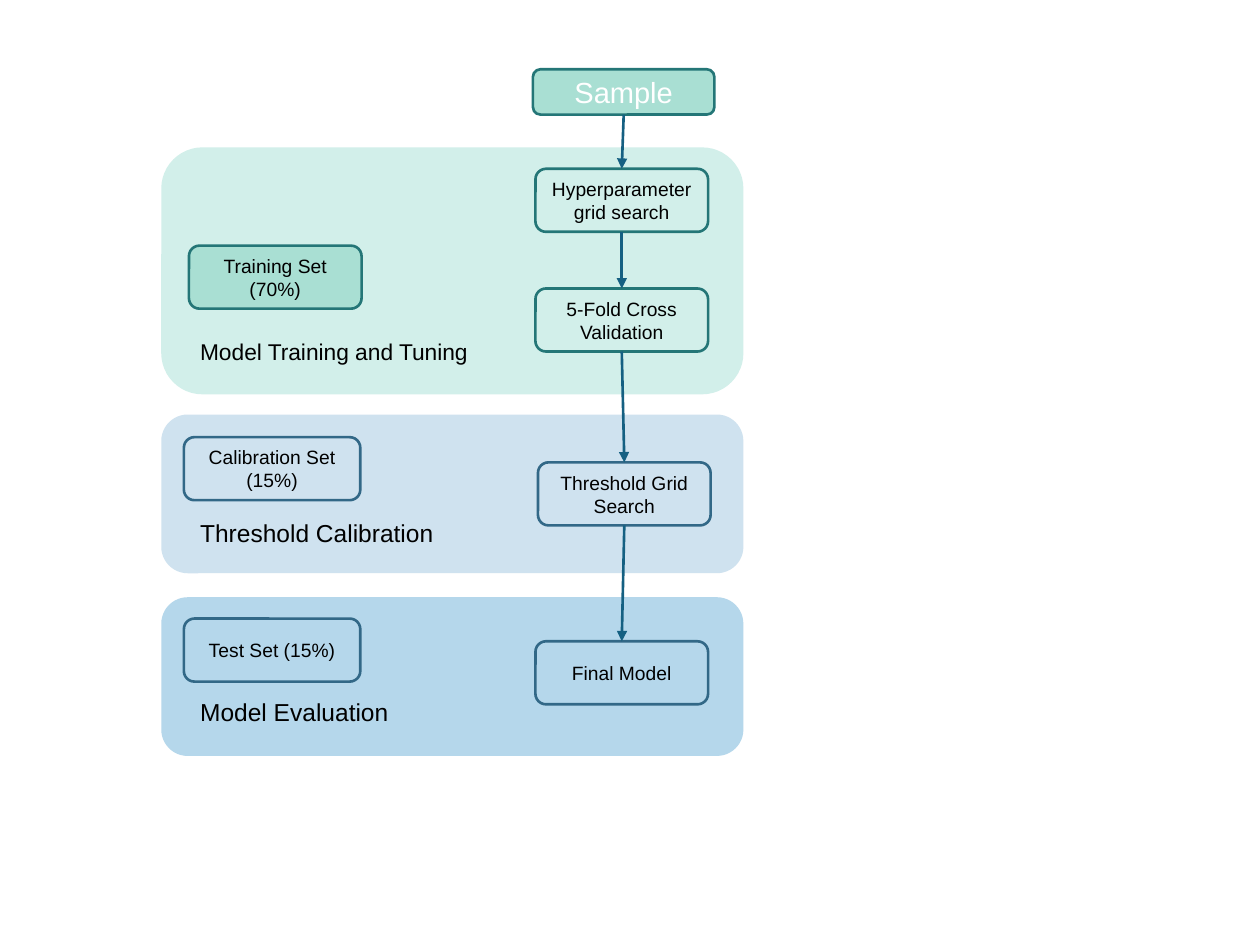
import pptx
import pptx.util
import pptx.dml.color
import pptx.enum.shapes
import pptx.enum.text
import pptx.oxml.ns
from lxml import etree

Inches = pptx.util.Inches
Pt = pptx.util.Pt
ROUNDED = pptx.enum.shapes.MSO_SHAPE.ROUNDED_RECTANGLE
BOTTOM, TOP = 2, 0

COLORS = {
    "mint": "D2EFEA",
    "green": "A9DFD3",
    "teal": "247677",
    "pale blue": "CFE2EF",
    "sky": "B5D7EB",
    "navy": "326887",
    "arrow": "156082",
    "black": "000000",
    "white": "FFFFFF",
}


def color(name):
    return pptx.dml.color.RGBColor.from_string(COLORS[name])


class FlowSlide:
    """Holds the text style and the slide being drawn."""

    font_name = "Arial"
    line_width = Pt(1.5)

    def __init__(self, slide):
        self.slide = slide

    def set_text(self, shape, text, size, text_color="black"):
        frame = shape.text_frame
        frame.word_wrap = True
        frame.text = text
        font = frame.paragraphs[0].runs[0].font
        font.name = self.font_name
        font.size = Pt(size)
        font.color.rgb = color(text_color)
        return frame

    def rounded(self, left, top, width, height, fill=None, line=None):
        shape = self.slide.shapes.add_shape(
            ROUNDED, Inches(left), Inches(top), Inches(width), Inches(height))
        shape.shadow.inherit = False
        if fill:
            shape.fill.solid()
            shape.fill.fore_color.rgb = color(fill)
        else:
            shape.fill.background()
        if line:
            shape.line.color.rgb = color(line)
            shape.line.width = self.line_width
        else:
            shape.line.fill.background()
        return shape

    def box(self, text, left, top, width=1.37, height=0.5, fill=None,
            line="navy", size=11, text_color="black"):
        shape = self.rounded(left, top, width, height, fill, line)
        frame = self.set_text(shape, text, size, text_color)
        frame.vertical_anchor = pptx.enum.text.MSO_ANCHOR.MIDDLE
        frame.paragraphs[0].alignment = pptx.enum.text.PP_ALIGN.CENTER
        return shape

    def label(self, text, top, size, height=0.34):
        shape = self.slide.shapes.add_textbox(
            Inches(1.49), Inches(top), Inches(2.4), Inches(height))
        frame = self.set_text(shape, text, size)
        frame.auto_size = pptx.enum.text.MSO_AUTO_SIZE.SHAPE_TO_FIT_TEXT

    def arrow(self, upper, lower):
        connector = self.slide.shapes.add_connector(
            pptx.enum.shapes.MSO_CONNECTOR.STRAIGHT, 0, 0, 0, 0)
        connector.begin_connect(upper, BOTTOM)
        connector.end_connect(lower, TOP)
        connector.line.color.rgb = color("arrow")
        connector.line.width = self.line_width
        qn = pptx.oxml.ns.qn
        properties = connector._element.spPr
        etree.SubElement(properties.find(qn("a:ln")), qn("a:tailEnd"), type="triangle")
        etree.SubElement(properties, qn("a:effectLst"))


def main():
    presentation = pptx.Presentation()
    presentation.slide_width = Inches(10)
    presentation.slide_height = Inches(7.5)
    blank_layout = presentation.slide_layouts[6]
    flow = FlowSlide(presentation.slides.add_slide(blank_layout))

    # Stage panels
    for top, height, fill in [(1.17, 1.96, "mint"), (3.29, 1.26, "pale blue"),
                              (4.74, 1.26, "sky")]:
        flow.rounded(1.28, top, 4.62, height, fill)

    # Stage names
    flow.label("Model Training and Tuning", 2.63, 13, height=0.32)
    flow.label("Threshold Calibration", 4.06, 14)
    flow.label("Model Evaluation", 5.48, 14)

    # Data sets
    flow.box("Training Set (70%)", 1.5, 1.95, fill="green", line="teal")
    flow.box("Calibration Set (15%)", 1.46, 3.47, width=1.4)
    flow.box("Test Set (15%)", 1.46, 4.91, width=1.4)

    # Steps from sample to final model
    steps = [
        flow.box("Sample", 4.23, 0.55, width=1.44, height=0.36, fill="green",
                 line="teal", size=16.6, text_color="white"),
        flow.box("Hyperparameter grid search", 4.25, 1.34, fill="mint", line="teal"),
        flow.box("5-Fold Cross Validation", 4.25, 2.29, fill="mint", line="teal"),
        flow.box("Threshold Grid Search", 4.27, 3.67),
        flow.box("Final Model", 4.25, 5.09),
    ]
    for upper, lower in zip(steps, steps[1:]):
        flow.arrow(upper, lower)

    presentation.save("out.pptx")


if __name__ == "__main__":
    main()
